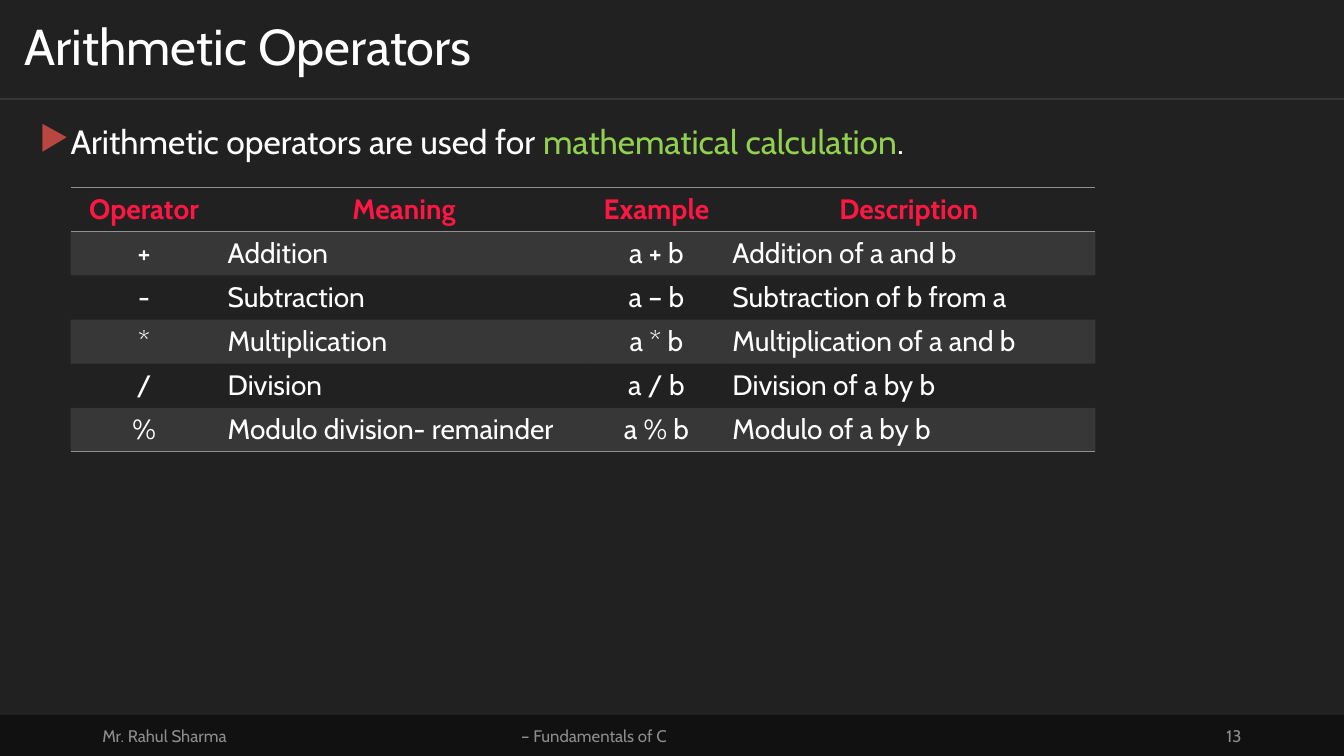
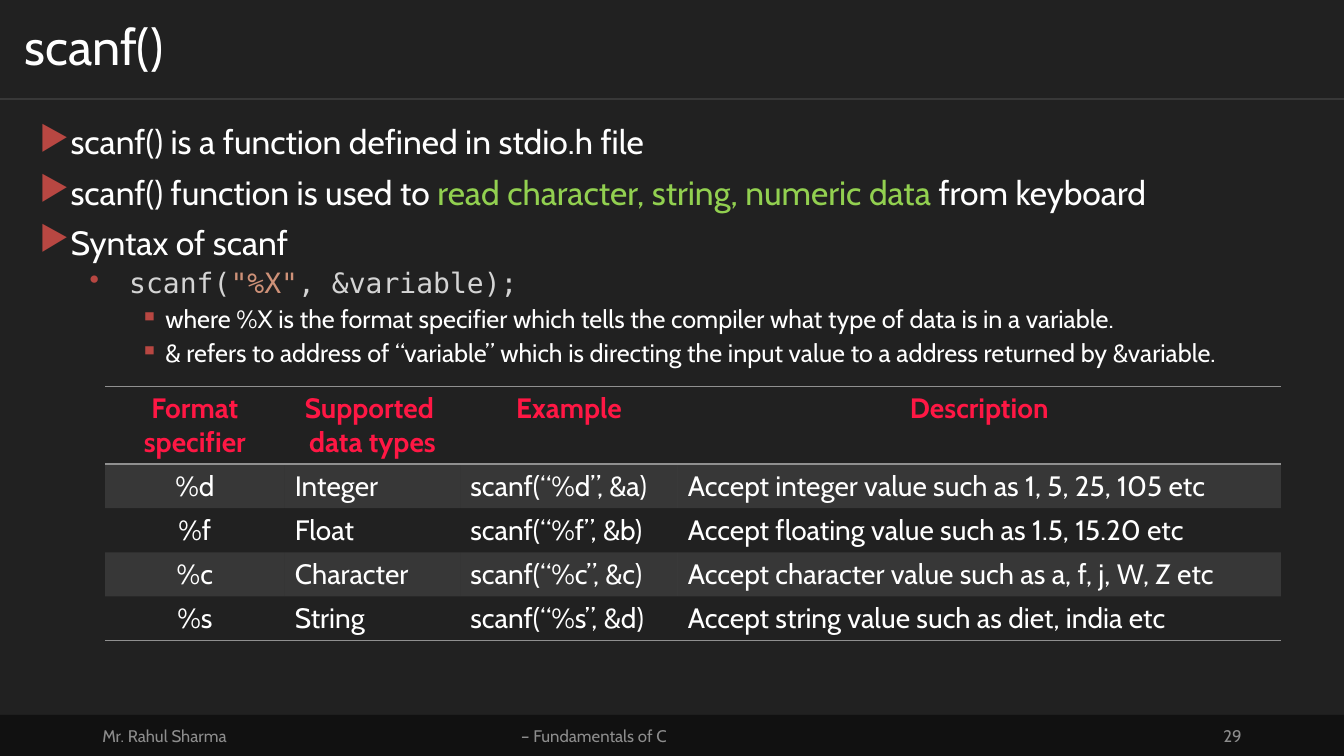
import pptx
import pptx.dml.color
import pptx.enum.shapes
import pptx.enum.text
import pptx.oxml.ns
import pptx.oxml.xmlchemy
import pptx.util
from lxml import etree

COLS, ROWS = 160, 90
UNIT = pptx.util.Inches(7.5) / ROWS
ALIGN = pptx.enum.text.PP_ALIGN
MIDDLE = pptx.enum.text.MSO_ANCHOR.MIDDLE
FONT, MONO = "Cabin", "DejaVu Sans Mono"
BACK, BAND, MUTE, WHITE = "212121", "111111", "8D8D8D", "FFFFFF"
RULE, HEAD, MARK = "909090", "FF1744", "B84742"
GREEN, CODE, QUOTE = "92D050", "D4D4D4", "CE9178"
PLAIN = "{2D5ABB26-0587-4C30-8999-92F81FD0307C}"
HEAD_BOX = (0, 0, COLS, 11.8)
BODY_BOX = (3.5, 14.4, 153, 68.5)
FOOT_BOX = (0, 85.1, COLS, 4.9)
LINE = 5.25
LEVELS = [
    {"size": 24, "left": 3.5, "hang": 3.5, "before": 10, "mark": "▶", "align": ALIGN.JUSTIFY},
    {"size": 20, "left": 10.7, "hang": 4.7, "before": 5, "mark": "•", "align": ALIGN.LEFT},
    {"size": 18, "left": 15, "hang": 3, "before": 5, "mark": "▪", "align": ALIGN.JUSTIFY},
]


def grid(n):
    return pptx.util.Emu(round(n * UNIT))


def place(box):
    return [grid(n) for n in box]


def tint(code):
    return pptx.dml.color.RGBColor.from_string(code)


def apply(item, look):
    for key, val in look.items():
        setattr(item, key, val)


def node(home, tag, **attrs):
    return etree.SubElement(home, pptx.oxml.ns.qn(tag), attrs)


def fade(home, share):
    for color in home.iter(pptx.oxml.ns.qn("a:srgbClr")):
        node(color, "a:alpha", val=str(share * 1000))


def paint(fill, code):
    fill.solid()
    fill.fore_color.rgb = tint(code)


def write(para, text, size, code, face=FONT, bold=False):
    run = para.add_run()
    run.text = text
    apply(run.font, {"size": pptx.util.Pt(size), "name": face, "bold": bold})
    run.font.color.rgb = tint(code)


def frame(slide, box, look):
    area = slide.shapes.add_textbox(*place(box)).text_frame
    apply(area, {"word_wrap": True, **look})
    return area


def title(slide, box, text):
    pad = {"margin_left": grid(2.9), "margin_right": grid(2.9),
           "margin_top": grid(1.4), "margin_bottom": grid(1.4)}
    para = frame(slide, box, {"vertical_anchor": MIDDLE, **pad}).paragraphs[0]
    para.line_spacing = 0.9
    write(para, text, 36, WHITE)
    left, top, width, height = place(box)
    rule = slide.shapes.add_connector(
        pptx.enum.shapes.MSO_CONNECTOR.STRAIGHT, left, top + height, left + width, top + height)
    rule.line.width = pptx.util.Pt(0.5)
    paint(rule.line.fill, WHITE)
    fade(rule.line.fill._xPr, 30)
    node(rule._element.spPr, "a:effectLst")


def footer(slide, box, page):
    left, top, width, height = box
    band = slide.shapes.add_shape(pptx.enum.shapes.MSO_SHAPE.RECTANGLE, *place(box))
    band.shadow.inherit = False
    paint(band.fill, BAND)
    band.line.fill.background()
    parts = [
        (11, 36, ALIGN.LEFT, "Mr. Rahul Sharma"),
        (53, 35, ALIGN.CENTER, " – Fundamentals of C"),
        (113, 36, ALIGN.RIGHT, str(page)),
    ]
    for shift, wide, align, text in parts:
        spot = (left + shift, top + 0.1, wide, height - 0.1)
        para = frame(slide, spot, {"vertical_anchor": MIDDLE}).paragraphs[0]
        para.alignment = align
        write(para, text, 12, MUTE)


def body(slide, box, items):
    area = frame(slide, box, {})
    for i, (level, *runs) in enumerate(items):
        kind = LEVELS[level]
        para = area.add_paragraph() if i else area.paragraphs[0]
        apply(para, {"level": level, "alignment": kind["align"], "line_spacing": 0.9})
        if i:
            para.space_before = pptx.util.Pt(kind["before"])
        prop = para._p.get_or_add_pPr()
        prop.set("marL", str(grid(kind["left"])))
        prop.set("indent", str(-grid(kind["hang"])))
        node(node(prop, "a:buClr"), "a:srgbClr", val=MARK)
        node(prop, "a:buChar", char=kind["mark"])
        for text, code in runs:
            write(para, text, kind["size"], code, MONO if level == 1 else FONT)


def edge(cell, sides):
    prop = cell._tc.get_or_add_tcPr()
    for i, side in enumerate(sides):
        line = node(prop, "a:" + side, w=str(pptx.util.Pt(1)))
        node(node(line, "a:solidFill"), "a:srgbClr", val=RULE)
        prop.insert(i, line)


def table(slide, spot, wides, tall, rows, mids):
    size = (sum(wides), tall + LINE * (len(rows) - 1))
    sheet = slide.shapes.add_table(len(rows), len(wides), *place(spot + size)).table
    apply(sheet, {"first_row": False, "horz_banding": False})
    sheet._tbl.tblPr.find(pptx.oxml.ns.qn("a:tableStyleId")).text = PLAIN
    for col, wide in zip(sheet.columns, wides):
        col.width = grid(wide)
    for r, row in enumerate(rows):
        sheet.rows[r].height = grid(LINE if r else tall)
        for c, text in enumerate(row):
            cell = sheet.cell(r, c)
            if r % 2:
                paint(cell.fill, RULE)
                fade(cell._tc.tcPr, 20)
            else:
                cell.fill.background()
            if r == 0:
                edge(cell, ["lnT", "lnB"])
            elif r == len(rows) - 1:
                edge(cell, ["lnB"])
            for i, part in enumerate(text.split("\n")):
                area = cell.text_frame
                para = area.add_paragraph() if i else area.paragraphs[0]
                para.alignment = ALIGN.CENTER if r == 0 or c in mids else ALIGN.LEFT
                write(para, part, 20, WHITE if r else HEAD, bold=r == 0)


def page(deck, head, number, items, chart):
    slide = deck.slides.add_slide(deck.slide_layouts[6])
    paint(slide.background.fill, BACK)
    footer(slide, FOOT_BOX, number)
    title(slide, HEAD_BOX, head)
    body(slide, BODY_BOX, items)
    table(slide, **chart)


MATH = {
    "spot": (8.4, 22.3), "wides": [17.5, 44.4, 15.7, 44.4], "tall": LINE, "mids": (0, 2),
    "rows": [
        ("Operator", "Meaning", "Example", "Description"),
        ("+", "Addition", "a + b", "Addition of a and b"),
        ("-", "Subtraction", "a – b", "Subtraction of b from a"),
        ("*", "Multiplication", "a * b", "Multiplication of a and b"),
        ("/", "Division", "a / b", "Division of a by b"),
        ("%", "Modulo division- remainder", "a % b", "Modulo of a by b"),
    ],
}
SCAN = {
    "spot": (12.5, 46), "wides": [21.4, 20.9, 25.9, 71.8], "tall": 9.25, "mids": (0,),
    "rows": [
        ("Format specifier", "Supported \ndata types", "Example", "Description"),
        ("%d", "Integer", "scanf(“%d”, &a)", "Accept integer value such as 1, 5, 25, 105 etc"),
        ("%f", "Float", "scanf(“%f”, &b)", "Accept floating value such as 1.5, 15.20 etc"),
        ("%c", "Character", "scanf(“%c”, &c)", "Accept character value such as a, f, j, W, Z etc"),
        ("%s", "String", "scanf(“%s”, &d)", "Accept string value such as diet, india etc"),
    ],
}
USES = [
    (0, ("Arithmetic operators are used for ", WHITE),
     ("mathematical calculation", GREEN), (".", WHITE)),
]
NOTES = [
    (0, ("scanf() is a function defined in stdio.h file", WHITE)),
    (0, ("scanf() function is used to ", WHITE),
     ("read character, string, numeric data", GREEN), (" from keyboard", WHITE)),
    (0, ("Syntax of scanf", WHITE)),
    (1, ("scanf(", CODE), ('"%X"', QUOTE), (", &variable);", CODE)),
    (2, ("where %X is the format specifier which tells the compiler "
         "what type of data is in a variable.", WHITE)),
    (2, ("& refers to address of “variable” which is directing the input value "
         "to a address returned by &variable.", WHITE)),
]


def main():
    deck = pptx.Presentation()
    apply(deck, {"slide_width": grid(COLS), "slide_height": grid(ROWS)})
    page(deck, "Arithmetic Operators", 13, USES, MATH)
    page(deck, "scanf()", 29, NOTES, SCAN)
    deck.save("out.pptx")


if __name__ == "__main__":
    main()
